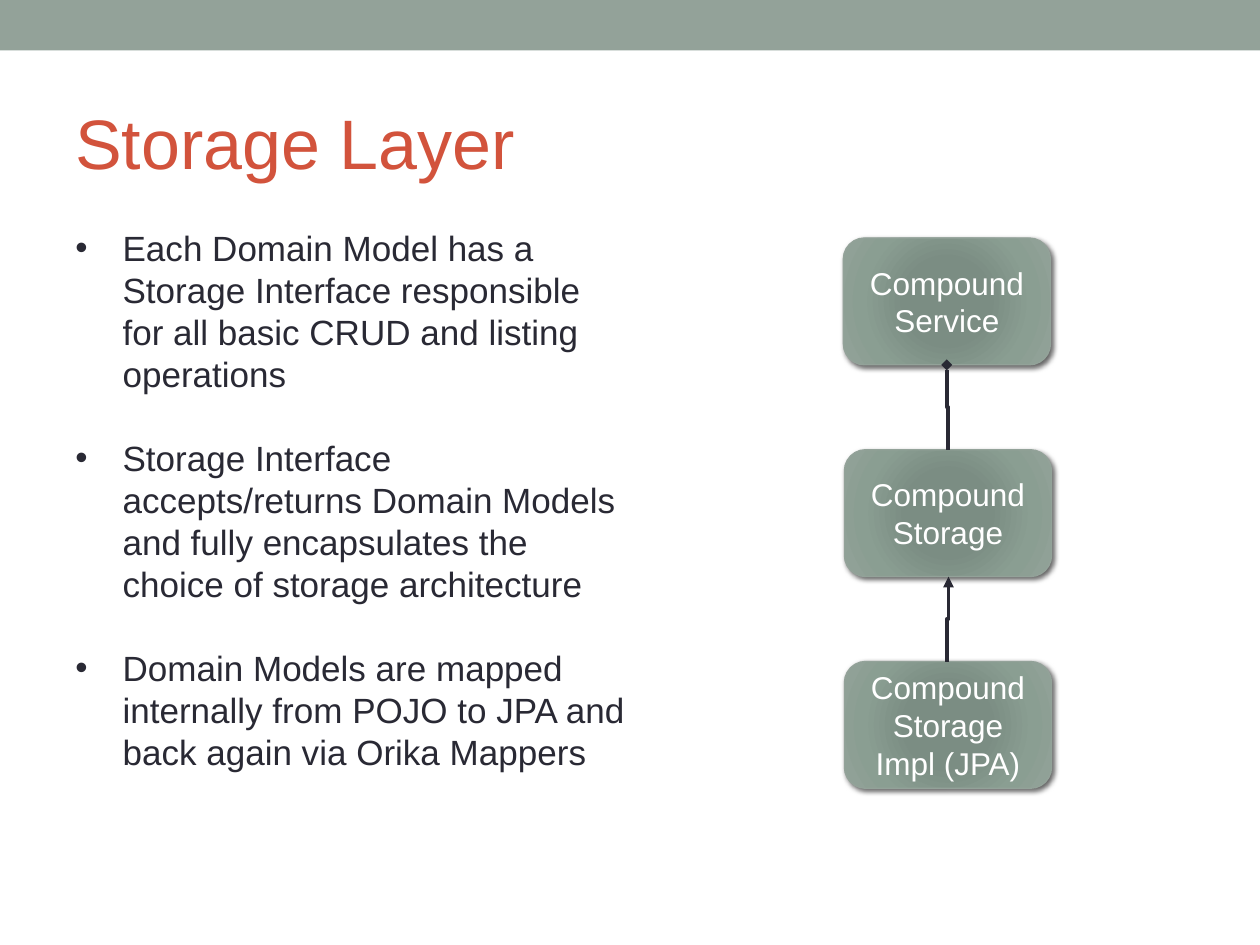
import pptx
import pptx.dml.color
import pptx.enum.shapes
import pptx.enum.text
import pptx.oxml
import pptx.oxml.ns
import pptx.util

Pt = pptx.util.Pt
SHAPE = pptx.enum.shapes.MSO_SHAPE
ANCHOR = pptx.enum.text.MSO_ANCHOR
ALIGN = pptx.enum.text.PP_ALIGN
qn = pptx.oxml.ns.qn

FONT = "Arial"
SAGE, RED, INK, WHITE = "93A299", "D2533C", "292934", "FFFFFF"
TITLE = "Storage Layer"
BULLETS = [
    "Each Domain Model has a Storage Interface responsible for all basic "
    "CRUD and listing operations",
    "Storage Interface accepts/returns Domain Models and fully encapsulates "
    "the choice of storage architecture",
    "Domain Models are mapped internally from POJO to JPA and back again "
    "via Orika Mappers",
]
# left edge, lines of text
BOXES = [
    (481.9, ["Compound", "Service"]),
    (482.5, ["Compound", "Storage"]),
    (482.5, ["Compound", "Storage", "Impl (JPA)"]),
]
BOX_TOP, BOX_W, BOX_H, BOX_STEP = 136, 118.4, 72.5, 121
# index of the upper box, start x, end x, arrowhead at the start
LINKS = [(0, 541, 541.7, "diamond"), (1, 542, 541, "triangle")]
GRADIENT = [(0, "7B8E82"), (34, "7B8D83"), (70, "8A9E92"), (100, SAGE)]
BULLET_INDENT = 27


def rgb(value):
    return pptx.dml.color.RGBColor.from_string(value)


def xml(text):
    """Parse one element written with the a: prefix."""
    head, sep, tail = text.partition(">")
    close = "/" if head.endswith("/") else ""
    return pptx.oxml.parse_xml(
        f"{head.rstrip('/')} {pptx.oxml.ns.nsdecls('a')}{close}{sep}{tail}")


def write(tf, lines, size, color, anchor=ANCHOR.TOP, align=ALIGN.LEFT, leading=None):
    tf.word_wrap = True
    tf.vertical_anchor = anchor
    for i, line in enumerate(lines):
        p = tf.add_paragraph() if i else tf.paragraphs[0]
        p.alignment = align
        if leading:
            p.line_spacing = Pt(leading)
        r = p.add_run()
        r.text = line
        r.font.name, r.font.size = FONT, Pt(size)
        r.font.color.rgb = rgb(color)


def add_text(slide, box, *args, **kwargs):
    tf = slide.shapes.add_textbox(*map(Pt, box)).text_frame
    write(tf, *args, **kwargs)
    return tf


def add_bullets(tf, gap):
    for i, p in enumerate(tf.paragraphs):
        p.space_before = Pt(gap if i else 0)
        pPr = p._p.get_or_add_pPr()
        pPr.set("marL", str(Pt(BULLET_INDENT)))
        pPr.set("indent", str(-Pt(BULLET_INDENT)))
        pPr.append(xml('<a:buFont typeface="Arial"/>'))
        pPr.append(xml('<a:buChar char="•"/>'))


def add_box(slide, left, top, lines):
    sp = slide.shapes.add_shape(SHAPE.ROUNDED_RECTANGLE, *map(Pt, (left, top, BOX_W, BOX_H)))
    sp.line.color.rgb, sp.line.width = rgb(SAGE), Pt(0.75)
    sp.shadow.inherit = False
    stops = "".join(f'<a:gs pos="{pos * 1000}"><a:srgbClr val="{color}"/></a:gs>'
                    for pos, color in GRADIENT)
    spPr = sp._element.spPr
    spPr.find(qn("a:ln")).addprevious(xml(
        f'<a:gradFill rotWithShape="1"><a:gsLst>{stops}</a:gsLst><a:path path="circle">'
        '<a:fillToRect l="100000" t="100000" r="100000" b="100000"/></a:path></a:gradFill>'))
    spPr.find(qn("a:effectLst")).append(xml(
        f'<a:outerShdw blurRad="{Pt(3)}" dist="{Pt(2)}" dir="2700000" rotWithShape="0">'
        '<a:srgbClr val="000000"><a:alpha val="60000"/></a:srgbClr></a:outerShdw>'))
    write(sp.text_frame, lines, 18, WHITE, ANCHOR.MIDDLE, ALIGN.CENTER, 21.6)


def add_link(slide, x1, y1, x2, y2, head):
    """Elbow that leaves and arrives vertically: a level one turned a quarter."""
    cx, cy = (x1 + x2) / 2, (y1 + y2) / 2
    half, jog = (y2 - y1) / 2, abs(x2 - x1) / 2
    side, turn = (1, 270) if x2 > x1 else (-1, 90)
    cxn = slide.shapes.add_connector(
        pptx.enum.shapes.MSO_CONNECTOR.ELBOW,
        *map(Pt, (cx + side * half, cy - jog, cx - side * half, cy + jog)))
    cxn.line.color.rgb, cxn.line.width = rgb(INK), Pt(2.08)
    spPr = cxn._element.spPr
    spPr.find(qn("a:xfrm")).set("rot", str(turn * 60000))
    spPr.find(qn("a:ln")).append(xml(f'<a:headEnd type="{head}"/>'))
    spPr.append(xml("<a:effectLst/>"))


def main():
    prs = pptx.Presentation()
    prs.slide_width, prs.slide_height = Pt(720), Pt(540)
    slide = prs.slides.add_slide(prs.slide_layouts[6])

    band = slide.shapes.add_shape(SHAPE.RECTANGLE, 0, 0, Pt(720), Pt(28.8))
    band.fill.solid()
    band.fill.fore_color.rgb = rgb(SAGE)
    band.line.fill.background()
    band.shadow.inherit = False

    add_text(slide, (36, 42, 648, 78), [TITLE], 40, RED, ANCHOR.MIDDLE)
    add_bullets(add_text(slide, (36, 126, 330, 360), BULLETS, 20, INK, leading=24), 24)

    tops = [BOX_TOP + i * BOX_STEP for i in range(len(BOXES))]
    for top, (left, lines) in zip(tops, BOXES):
        add_box(slide, left, top, lines)
    for i, x1, x2, head in LINKS:
        add_link(slide, x1, tops[i] + BOX_H, x2, tops[i + 1], head)

    prs.save("out.pptx")


if __name__ == "__main__":
    main()
